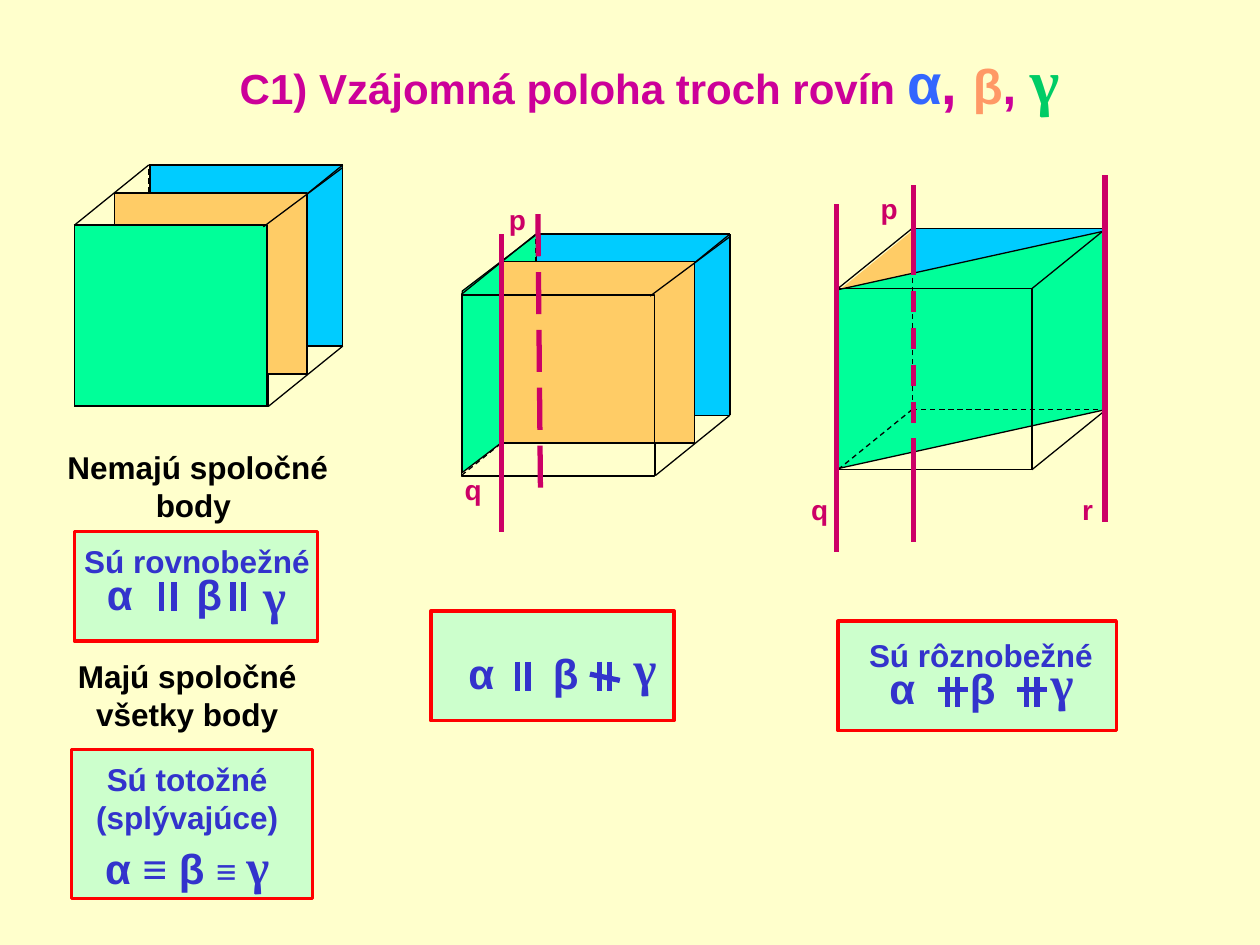
from lxml.etree import SubElement
from pptx import Presentation
from pptx.dml.color import RGBColor
from pptx.enum.dml import MSO_LINE as Dash
from pptx.enum.shapes import MSO_CONNECTOR as Connector, MSO_SHAPE as Shape
from pptx.enum.text import MSO_AUTO_SIZE as AutoSize, PP_ALIGN as Align
from pptx.oxml.ns import qn
from pptx.util import Pt

COLORS = {
    "background": "FFFFCC", "black": "000000", "green": "00FF99", "blue": "00CCFF",
    "orange": "FFCC66", "panel": "CCFFCC", "red": "FF0000", "formula": "3333CC",
    "axis": "CC0066", "title": "CC0099", "alpha": "3366FF", "beta": "FF9966",
    "gamma": "00CC66",
}
SERIF = "Times New Roman"
PLANE = (110.2, 103.5)
DEPTH = (42.5, 34.4)


def rgb(name):
    return RGBColor.from_string(COLORS[name])


def add_run(paragraph, text, size=18, color="formula", font="Arial"):
    run = paragraph.add_run()
    run.text = text
    run.font.size = Pt(size)
    run.font.name = font
    run.font.bold = True
    run.font.color.rgb = rgb(color)


class Board:
    def __init__(self, slide):
        self.slide = slide
        self.shapes = slide.shapes
        slide.background.fill.solid()
        slide.background.fill.fore_color.rgb = rgb("background")

    def paint(self, shape, fill=None, line="black", width=0.75):
        shape.shadow.inherit = False
        if fill:
            shape.fill.solid()
            shape.fill.fore_color.rgb = rgb(fill)
        else:
            shape.fill.background()
        if line:
            shape.line.color.rgb = rgb(line)
            shape.line.width = Pt(width)
        else:
            shape.line.fill.background()

    def rectangle(self, x, y, size=PLANE, shapes=None, **style):
        shapes = shapes or self.shapes
        shape = shapes.add_shape(Shape.RECTANGLE, Pt(x), Pt(y), *map(Pt, size))
        self.paint(shape, **style)

    def panel(self, x, y, width, height):
        self.rectangle(x, y, (width, height), fill="panel", line="red", width=2)

    def polygon(self, points, **style):
        first, *rest = [(Pt(x), Pt(y)) for x, y in points]
        builder = self.shapes.build_freeform(*first)
        builder.add_line_segments(rest, close=True)
        self.paint(builder.convert_to_shape(), **style)

    def line(self, start, end, color="black", width=0.75, dash=None, shapes=None):
        shapes = shapes or self.shapes
        connector = shapes.add_connector(Connector.STRAIGHT, *map(Pt, (*start, *end)))
        connector.line.color.rgb = rgb(color)
        connector.line.width = Pt(width)
        if dash:
            connector.line.dash_style = dash
        SubElement(connector._element.spPr, qn("a:effectLst"))

    def axis(self, start, end, dash=None):
        self.line(start, end, color="axis", width=3, dash=dash)

    def cube(self, x, y):
        """Draw a wireframe cube whose front face starts at x, y."""
        shapes = self.shapes.add_group_shape().shapes
        width, height = PLANE
        right, bottom = x + width + 0.7, y + height
        back_left, back_right = x + DEPTH[0], right + DEPTH[0]
        back_top, back_bottom = y - DEPTH[1], bottom - DEPTH[1]
        self.rectangle(x, y, (width + 0.7, height), shapes)
        visible = [
            ((right, bottom), (back_right, back_bottom)),
            ((back_right, back_top), (back_right, back_bottom)),
            ((back_left, back_top), (back_right, back_top)),
            ((x, y), (back_left, back_top)),
            ((right, y), (back_right, back_top)),
        ]
        hidden_corner = (back_left, back_bottom)
        hidden = [(hidden_corner, end) for end in
                  [(back_right, back_bottom), (back_left, back_top), (x, bottom)]]
        for start, end in visible:
            self.line(start, end, shapes=shapes)
        for start, end in hidden:
            self.line(start, end, dash=Dash.DASH, shapes=shapes)

    def text(self, x, y, width, height, paragraphs, align=Align.CENTER, wrap=False):
        """Add a text box; each paragraph is a list of (text, format) runs."""
        frame = self.shapes.add_textbox(*map(Pt, (x, y, width, height))).text_frame
        frame.word_wrap = wrap
        frame.auto_size = AutoSize.SHAPE_TO_FIT_TEXT
        for index, runs in enumerate(paragraphs):
            paragraph = frame.add_paragraph() if index else frame.paragraphs[0]
            paragraph.alignment = align
            for text, style in runs:
                add_run(paragraph, text, **style)

    def caption(self, x, y, width, *lines, color="formula"):
        self.text(x, y, width, 50.4, [[(line, {"color": color})] for line in lines])

    def label(self, letter, x, y):
        style = {"size": 16, "color": "axis"}
        self.text(x, y, 23.8, 26.6, [[(letter, style)]], Align.LEFT)

    def formula_letters(self, alpha, beta, gamma):
        for letter, (x, y) in (("α", alpha), ("β", beta)):
            self.text(x, y, 28.8, 36, [[(letter, {"size": 24})]], Align.LEFT)
        style = {"size": 28, "font": SERIF}
        self.text(*gamma, 27.4, 41, [[("γ", style)]], Align.LEFT)

    def parallel_sign(self, x, y, gap=5.8, strike_drop=None):
        """Draw two upright bars, struck through when strike_drop is given."""
        style = {"color": "formula", "width": 3}
        for bar in (x, x + gap):
            self.line((bar, y), (bar, y + 16.8), **style)
        if strike_drop is not None:
            self.line((x - 5.6, y + 7.2), (x + 11.5, y + 7.2 + strike_drop), **style)


def draw_parallel_planes(board):
    board.rectangle(85.7, 94.3, fill="blue")
    board.cube(42.5, 128.7)
    board.rectangle(65.3, 110.2, fill="orange")
    board.rectangle(42.5, 128.5, fill="green")
    board.line((195.8, 95.8), (150.5, 129.6))
    board.caption(28, 252.7, 170, "Nemajú spoločné", "body ", color="black")
    board.panel(42.5, 303.8, 139, 62.6)
    board.caption(37.6, 306, 150, "Sú rovnobežné")
    board.formula_letters((54, 321.1), (105.1, 321.1), (143.3, 319.7))
    board.parallel_sign(92.2, 332.6, gap=7.2)
    board.parallel_sign(133.2, 332.6)
    board.caption(27, 372.2, 160, "Majú spoločné", "všetky body", color="black")
    board.panel(41, 428.4, 137.5, 85)
    board.text(37, 430.6, 140, 84.2, [
        [("Sú totožné", {})],
        [("(splývajúce)", {})],
        [("α ≡ β ", {"size": 24}), ("≡ ", {"size": 20}),
         ("γ", {"size": 28, "font": SERIF})],
    ])


def draw_two_parallel_planes(board):
    board.polygon([(306.7, 133.9), (306.7, 237.6), (264.2, 270), (264.2, 166.3)],
                  fill="green")
    board.rectangle(306.7, 133.9, fill="blue")
    board.cube(263.7, 168.2)
    board.rectangle(286.6, 149.6, fill="orange")
    board.rectangle(263.7, 168.5)
    board.line((416.9, 135.4), (371.5, 169.2))
    board.label("p", 283.7, 112.3)
    board.axis((286.6, 133.9), (286.6, 303.8))
    board.label("q", 258.5, 266.4)
    board.axis((307.4, 122.4), (308.9, 287.3), Dash.LONG_DASH)
    board.panel(246.2, 349.2, 139, 62.6)
    board.formula_letters((260.6, 366.5), (308.9, 366.5), (355, 360.7))
    board.parallel_sign(295.9, 378)
    board.parallel_sign(342.7, 378, strike_drop=3.6)


def draw_crossing_planes(board):
    board.polygon([(520.6, 132.5), (478.1, 167), (478.1, 269.3), (520.6, 235.4)],
                  fill="orange", line=None)
    board.rectangle(521.3, 131, fill="blue", line=None)
    board.polygon([(478.8, 165.6), (632.2, 131.8), (632.2, 234), (478.8, 267.8)],
                  fill="green")
    board.cube(478.8, 164.9)
    board.label("p", 496.1, 105.8)
    board.label("q", 456.5, 277.9)
    board.label("r", 611.3, 277.9)
    board.axis((631.4, 100.1), (631.4, 298.1))
    board.axis((522, 258.5), (522, 309.6))
    board.axis((522, 105.8), (522, 157))
    board.axis((522, 145.4), (522, 258.5), Dash.DASH)
    board.axis((478.1, 116.6), (478.1, 315.4))
    board.panel(478.8, 355, 159.1, 62.6)
    board.caption(485.6, 360, 150, "Sú rôznobežné")
    board.formula_letters((501.1, 375.1), (547.2, 375.1), (593.3, 369.4))
    for x in (541.4, 586.8):
        board.parallel_sign(x, 387, strike_drop=0)


def main():
    presentation = Presentation()
    presentation.slide_width = Pt(720)
    presentation.slide_height = Pt(540)
    board = Board(presentation.slides.add_slide(presentation.slide_layouts[6]))
    board.text(115.9, 20.2, 510.5, 50.4, [[
        ("C1) Vzájomná poloha troch rovín ", {"size": 24, "color": "title"}),
        ("α", {"size": 32, "color": "alpha"}),
        (", ", {"size": 32, "color": "title"}),
        ("β", {"size": 28, "color": "beta"}),
        (", ", {"size": 28, "color": "title"}),
        ("γ", {"size": 36, "color": "gamma", "font": SERIF}),
    ]], wrap=True)
    draw_parallel_planes(board)
    draw_two_parallel_planes(board)
    draw_crossing_planes(board)
    presentation.save("out.pptx")


if __name__ == "__main__":
    main()
